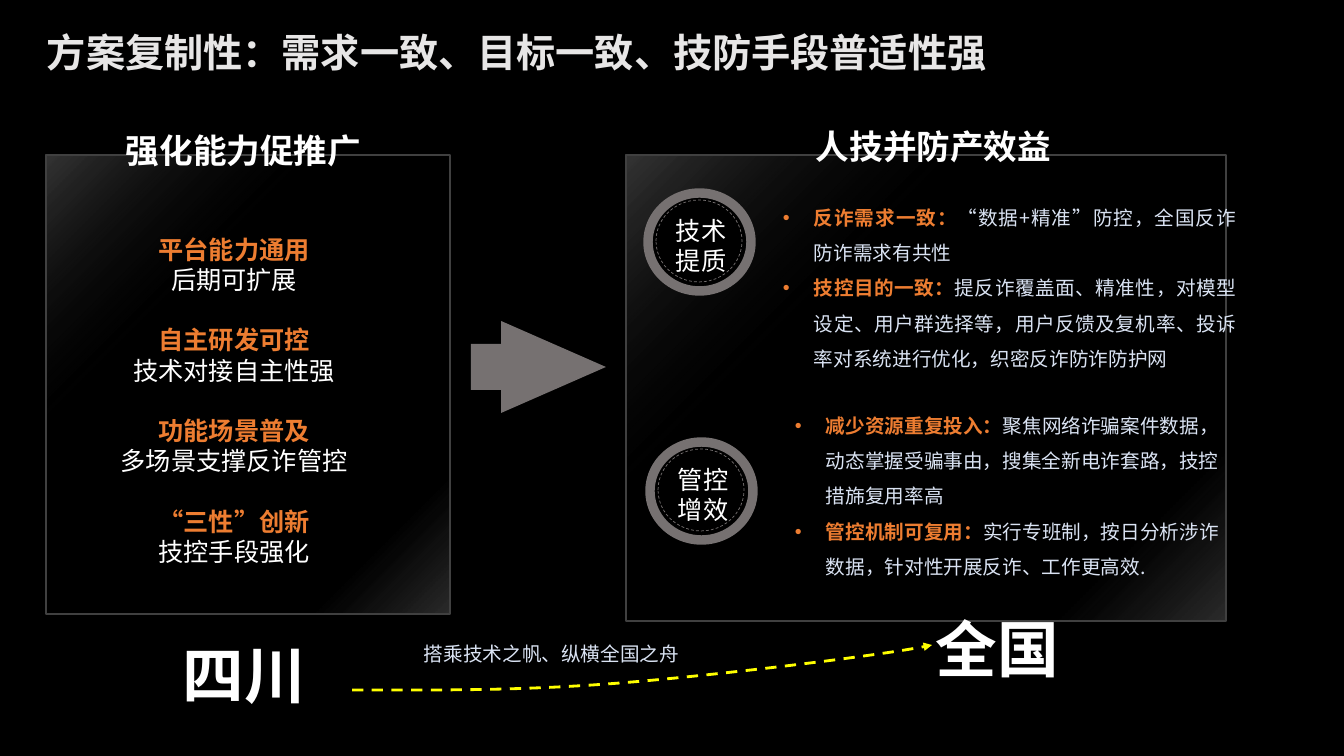
from lxml import etree
from pptx import Presentation, util as u
from pptx.dml.color import RGBColor
from pptx.enum import dml, shapes, text
from pptx.oxml.ns import qn

SCALE = 12192000 / 1344  # EMU per px
FONT = "Noto Sans CJK SC"
WHITE, ORANGE, GREY, PALE = "FFFFFF", "ED7D31", "767171", "DAE3F3"
LEFT, CENTER, JUST = (text.PP_ALIGN.LEFT, text.PP_ALIGN.CENTER,
                      text.PP_ALIGN.JUSTIFY)
KIND = shapes.MSO_SHAPE


def px(n):
    return u.Emu(round(n * SCALE))


def rgb(code):
    return RGBColor.from_string(code)


def sub(node, tag, **attrs):
    return etree.SubElement(node, qn(tag), attrs)


def write(slide, box, paras, size=14, color=WHITE, bold=False, align=LEFT,
          space=None, bullet=False, middle=False):
    """Each paragraph is a list of (words, color, bold), or one string."""
    frame = slide.shapes.add_textbox(*map(px, box)).text_frame
    frame.word_wrap = True
    if middle:
        frame.vertical_anchor = text.MSO_ANCHOR.MIDDLE
    if isinstance(paras, str):
        paras = [[(paras, color, bold)]]
    for i, runs in enumerate(paras):
        para = frame.add_paragraph() if i else frame.paragraphs[0]
        para.alignment = align
        if space:
            para.line_spacing = space
        if bullet:
            props = para._p.get_or_add_pPr()
            props.set("marL", str(px(31)))
            props.set("indent", str(-px(31)))
            sub(props, "a:buFont", typeface="Arial")
            sub(props, "a:buChar", char="•")
        for words, tint, heavy in runs:
            run = para.add_run()
            run.text = words
            font = run.font
            font.size, font.bold, font.name = u.Pt(size), heavy, FONT
            font.color.rgb = rgb(tint)
            sub(run._r.get_or_add_rPr(), "a:ea", typeface=FONT)
    return frame


def draw(slide, kind, box, fill=None, line=None, width=1):
    shape = slide.shapes.add_shape(kind, *map(px, box))
    shape.shadow.inherit = False
    if fill:
        shape.fill.solid()
        shape.fill.fore_color.rgb = rgb(fill)
    if line:
        shape.line.color.rgb = rgb(line)
        shape.line.width = u.Pt(width)
    else:
        shape.line.fill.background()
    return shape


def panel(slide, box, title, head):
    """Black glass panel with light corners and a heading on its top edge."""
    shape = draw(slide, KIND.RECTANGLE, box, line="404040")
    shape.fill.gradient()
    shape.fill.gradient_angle = 315
    stops = shape._element.spPr.find(qn("a:gradFill")).find(qn("a:gsLst"))
    for stop in list(stops):
        stops.remove(stop)
    for pos, code, alpha in [(1, WHITE, 19), (34, "000000", 0),
                             (84, "C8C8C8", 0), (100, WHITE, 17)]:
        stop = sub(stops, "a:gs", pos=str(pos * 1000))
        tint = sub(stop, "a:srgbClr", val=code)
        sub(tint, "a:alpha", val=str(alpha * 1000))
    x, y = box[:2]
    write(slide, (x + head[0], y + head[1], 289, 48), title, size=24, bold=True)


def badge(slide, x, y, label):
    """Ring with a dashed inner circle and a two-line label."""
    draw(slide, KIND.OVAL, (x, y, 103, 98), "000000", GREY, 6.75)
    ring = draw(slide, KIND.OVAL, (x + 8, y + 7, 86, 82), "000000", GREY, 0.5)
    ring.line.dash_style = dml.MSO_LINE.DASH
    write(slide, (x + 18, y + 17, 75, 68), label, size=18)


def skills(slide, x, y, w, h):
    """Left panel: four skills, each with a note."""
    panel(slide, (x, y, w, h), "强化能力促推广", (70, -30))
    pairs = [("平台能力通用", "后期可扩展"),
             ("自主研发可控", "技术对接自主性强"),
             ("功能场景普及", "多场景支撑反诈管控"),
             ("“三性”创新", "技控手段强化")]
    paras = []
    for name, note in pairs:
        paras += [[(name, ORANGE, True)], [(note, WHITE, False)]]
    frame = write(slide, (x + 8, y + 74, 360, 362), paras, size=18,
                  align=CENTER)
    for para in frame.paragraphs[2::2]:
        para.space_before = u.Pt(21.6)


def gains(slide, x, y, w, h):
    """Right panel: two badges, each with bullet points."""
    panel(slide, (x, y, w, h), "人技并防产效益", (180, -34))
    rows = [
        ("技术提质", (22, 38), (147, 34, 473, 107), JUST,
         [("反诈需求一致：", "“数据+精准”防控，全国反诈防诈需求有共性"),
          ("技控目的一致：", "提反诈覆盖面、精准性，对模型设定、用户群选择等，"
           "用户反馈及复机率、投诉率对系统进行优化，织密反诈防诈防护网")]),
        ("管控增效", (24, 287), (159, 242, 455, 113), LEFT,
         [("减少资源重复投入：", "聚焦网络诈骗案件数据，动态掌握受骗事由，"
           "搜集全新电诈套路，技控措旆复用率高"),
          ("管控机制可复用：", "实行专班制，按日分析涉诈数据，"
           "针对性开展反诈、工作更高效.")]),
    ]
    for label, (dx, dy), (bx, by, bw, bh), align, points in rows:
        badge(slide, x + dx, y + dy, label)
        paras = [[(key, ORANGE, True), (note, PALE, False)]
                 for key, note in points]
        write(slide, (x + bx, y + by, bw, bh), paras, align=align,
              space=1.5, bullet=True)


def bend(a, b, c, d, t):
    """Point at t on a cubic curve."""
    s = 1 - t
    return tuple(px(s**3 * p + 3 * s * s * t * q + 3 * s * t * t * r + t**3 * v)
                 for p, q, r, v in zip(a, b, c, d))


def route(slide, x, y):
    """Dashed curve from province to nation, with its caption."""
    knots = [(0, 45), (79, 45), (158, 46), (255, 39),
             (352, 32), (542, 9), (580, 0)]
    knots = [(x + kx, y + ky) for kx, ky in knots]
    dots = [bend(*knots[k:k + 4], n / 20) for k in (0, 3) for n in range(1, 21)]
    pen = slide.shapes.build_freeform(px(knots[0][0]), px(knots[0][1]))
    pen.add_line_segments(dots, close=False)
    curve = pen.convert_to_shape()
    curve.shadow.inherit = False
    curve.fill.background()
    curve.line.color.rgb = rgb("FFFF00")
    curve.line.width = u.Pt(2)
    curve.line.dash_style = dml.MSO_LINE.DASH
    sub(curve.line._get_or_add_ln(), "a:tailEnd", type="triangle")
    write(slide, (x + 62, y - 8, 373, 34), "搭乘技术之帆、纵横全国之舟", color=PALE)
    for dx, dy, place in [(-179, -13, "四川"), (574, -39, "全国")]:
        write(slide, (x + dx, y + dy, 151, 85), place, size=44, bold=True)


def main():
    deck = Presentation()
    deck.slide_width, deck.slide_height = px(1344), px(756)
    slide = deck.slides.add_slide(deck.slide_layouts[6])
    slide.background.fill.solid()
    slide.background.fill.fore_color.rgb = rgb("000000")
    # Title
    write(slide, (37, 23, 1112, 58), "方案复制性：需求一致、目标一致、技防手段普适性强",
          size=28, color="E7E6E6", bold=True, middle=True)
    # Panels and the arrow between them
    gains(slide, 626, 155, 600, 466)
    skills(slide, 46, 155, 404, 459)
    arrow = draw(slide, KIND.RIGHT_ARROW, (471, 321, 135, 92), GREY)
    arrow.adjustments[1] = 1.14
    # Route along the bottom
    route(slide, 352, 645)
    deck.save("out.pptx")


if __name__ == "__main__":
    main()
